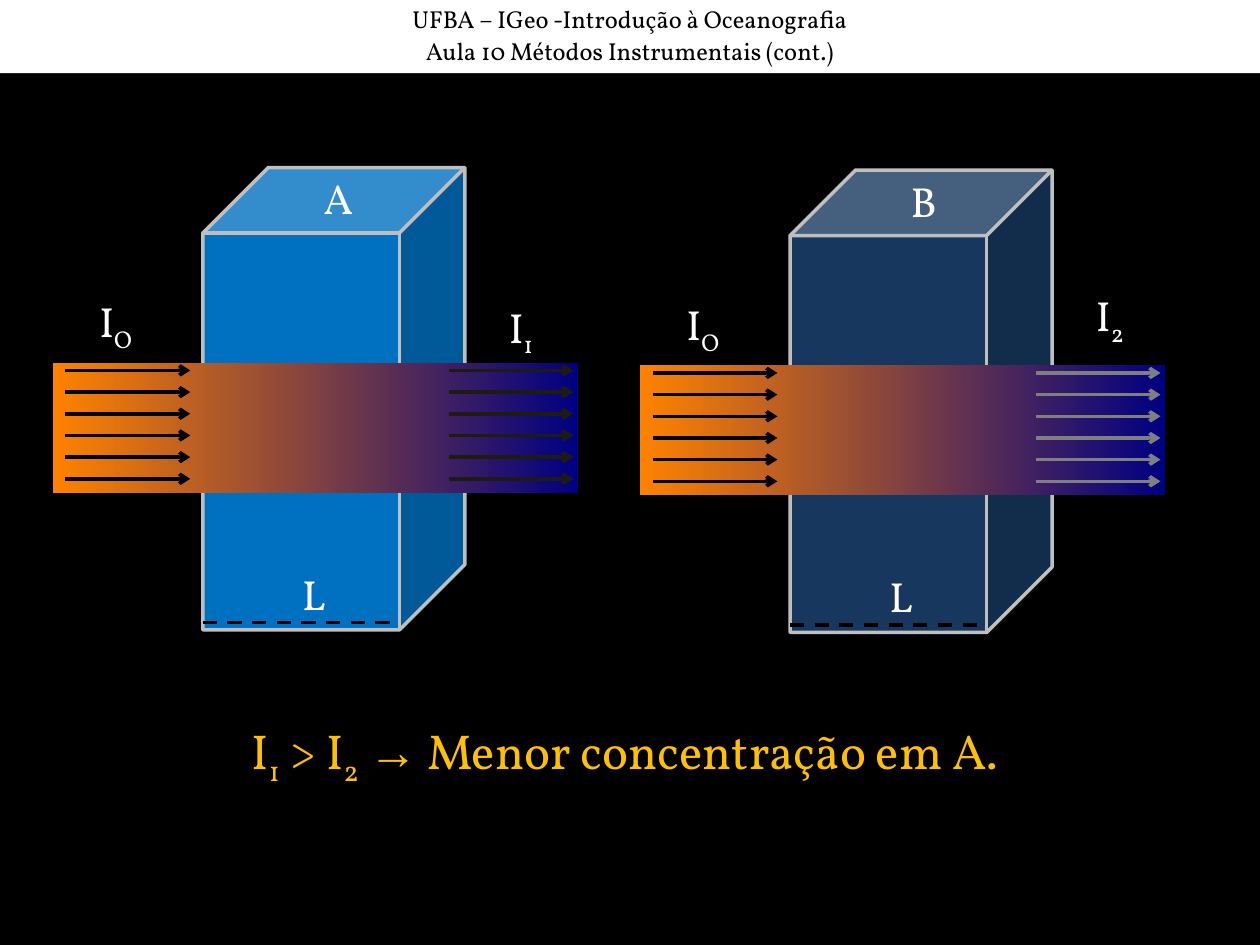
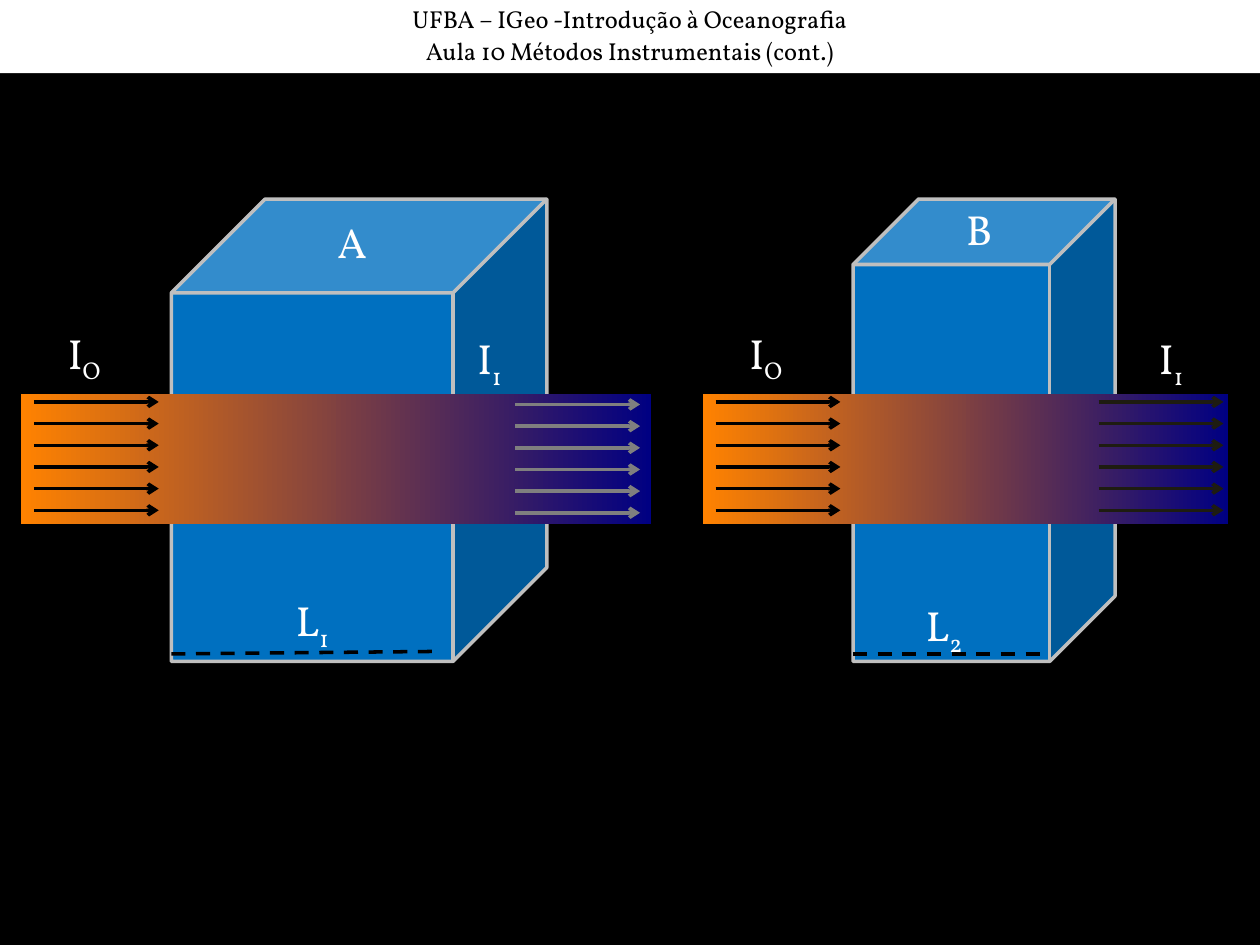
from dataclasses import dataclass

from lxml.etree import SubElement
from pptx import Presentation
from pptx.dml.color import RGBColor
from pptx.enum.dml import MSO_LINE
from pptx.enum.shapes import MSO_CONNECTOR, MSO_SHAPE
from pptx.enum.text import MSO_ANCHOR, MSO_AUTO_SIZE, PP_ALIGN
from pptx.oxml.ns import qn
from pptx.util import Inches, Pt

COLORS = {
    "background": "000000",
    "band": "FFFFFF",
    "header": "000000",
    "label": "FFFFFF",
    "conclusion": "FFC000",
    "clear": "0070C0",
    "dense": "17375E",
    "edge": "BFBFBF",
    "beam_start": "FF8200",
    "beam_end": "000082",
    "line": "000000",
    "strong": "1E1C11",
    "weak": "7F7F7F",
}
FONT = "Vollkorn"
HEADER_LINES = (
    "UFBA – IGeo -Introdução à Oceanografia",
    "Aula 10 Métodos Instrumentais (cont.)",
)
ARROW_COUNT, ARROW_LENGTH, ARROW_GAP = 6, 0.99, 0.172
CELL_HEIGHT = 3.67


@dataclass
class Cell:
    """A sample cell crossed by a light beam; offsets count from the beam's top left."""
    name: str
    left: float
    top: float
    color: str = "clear"
    width: float = 2.08
    beam_width: float = 4.17
    out_color: str = "strong"
    out_left: float = 3.14
    out_top: float = 0.06
    out_subscript: str = "1"
    out_label_top: float = -0.54
    length_subscript: str = ""
    length_left: float = 1.88
    length_top: float = 1.58
    dash_length: float = 1.53
    dash_rise: float = 0
    name_left: float = 2.05
    name_top: float = -1.56


def rgb(name):
    return RGBColor.from_string(COLORS[name])


def write(paragraph, text, size=24, color="label", font=FONT, subscript=False):
    run = paragraph.add_run()
    run.text = text
    run.font.size = Pt(size)
    run.font.name = font
    run.font.color.rgb = rgb(color)
    if subscript:
        run.font._element.set("baseline", "-25000")


def add_text_box(shapes, left, top, width, height):
    """Add an empty text box and return its first paragraph."""
    frame = shapes.add_textbox(*map(Inches, (left, top, width, height))).text_frame
    frame.word_wrap = True
    frame.auto_size = MSO_AUTO_SIZE.SHAPE_TO_FIT_TEXT
    return frame.paragraphs[0]


def add_label(shapes, left, top, symbol, subscript=""):
    paragraph = add_text_box(shapes, left, top, 0.7, 0.56 if subscript else 0.5)
    write(paragraph, symbol)
    if subscript:
        write(paragraph, subscript, subscript=True)


def add_shape(shapes, kind, left, top, width, height):
    shape = shapes.add_shape(kind, *map(Inches, (left, top, width, height)))
    shape.shadow.inherit = False
    return shape


def add_block(shapes, left, top, width, color):
    block = add_shape(shapes, MSO_SHAPE.CUBE, left, top, width, CELL_HEIGHT)
    block.fill.solid()
    block.fill.fore_color.rgb = rgb(color)
    block.line.color.rgb = rgb("edge")
    block.line.width = Pt(2)


def add_beam(shapes, left, top, width):
    beam = add_shape(shapes, MSO_SHAPE.RECTANGLE, left, top, width, 1.03)
    beam.line.fill.background()
    beam.fill.gradient()
    beam.fill.gradient_angle = 180
    for stop, color, position in zip(beam.fill.gradient_stops, ("beam_end", "beam_start"), (0, 1)):
        stop.color.rgb = rgb(color)
        stop.position = position


def add_line(shapes, start, end, color="line", dashed=False, arrow=False):
    connector = shapes.add_connector(MSO_CONNECTOR.STRAIGHT, *map(Inches, (*start, *end)))
    connector.line.color.rgb = rgb(color)
    connector.line.width = Pt(2)
    if dashed:
        connector.line.dash_style = MSO_LINE.DASH
    properties = connector._element.spPr
    if arrow:
        SubElement(properties.find(qn("a:ln")), qn("a:tailEnd"), type="arrow")
    SubElement(properties, qn("a:effectLst"))


def add_rays(shapes, left, top, color):
    for index in range(ARROW_COUNT):
        y = top + index * ARROW_GAP
        add_line(shapes, (left, y), (left + ARROW_LENGTH, y), color, arrow=True)


def add_cell(slide, cell):
    left, top = cell.left, cell.top
    block_left, length_y = left + 1.19, top + 2.06
    shapes = slide.shapes.add_group_shape().shapes
    add_block(shapes, block_left, top - 1.55, cell.width, cell.color)
    add_beam(shapes, left, top, cell.beam_width)
    add_rays(shapes, left + 0.1, top + 0.06, "line")
    add_rays(shapes, left + cell.out_left, top + cell.out_top, cell.out_color)
    add_label(shapes, left + 0.27, top - 0.58, "I", "O")
    add_label(shapes, left + 3.52, top + cell.out_label_top, "I", cell.out_subscript)
    add_line(shapes, (block_left, length_y),
             (block_left + cell.dash_length, length_y - cell.dash_rise), dashed=True)
    add_label(shapes, left + cell.length_left, top + cell.length_top, "L", cell.length_subscript)
    add_label(slide.shapes, left + cell.name_left, top + cell.name_top, cell.name)


def add_header(slide):
    title = slide.shapes.title
    title.left, title.top, title.width, title.height = map(Inches, (0, 0, 10, 0.58))
    title.fill.solid()
    title.fill.fore_color.rgb = rgb("band")
    frame = title.text_frame
    frame.auto_size = MSO_AUTO_SIZE.NONE
    frame.vertical_anchor = MSO_ANCHOR.MIDDLE
    for index, line in enumerate(HEADER_LINES):
        paragraph = frame.add_paragraph() if index else frame.paragraphs[0]
        paragraph.alignment = PP_ALIGN.CENTER
        paragraph.line_spacing = 0.9
        paragraph.space_before = Pt(3.5 if index else 0)
        write(paragraph, line, size=14, color="header")


def add_conclusion(slide):
    paragraph = add_text_box(slide.shapes, 0.42, 5.67, 9.08, 0.63)
    paragraph.alignment = PP_ALIGN.CENTER
    style = {"size": 28, "color": "conclusion"}
    write(paragraph, "I", **style)
    write(paragraph, "1", subscript=True, **style)
    write(paragraph, " > I", **style)
    write(paragraph, "2", subscript=True, **style)
    write(paragraph, " ", **style)
    write(paragraph, "→", font="Arial", **style)
    write(paragraph, " Menor concentração em A.", **style)


def add_comparison(presentation, *cells):
    slide = presentation.slides.add_slide(presentation.slide_layouts[5])
    add_header(slide)
    for cell in cells:
        add_cell(slide, cell)
    return slide


def main():
    presentation = Presentation()
    presentation.slide_width, presentation.slide_height = Inches(10), Inches(7.5)
    background = presentation.slide_master.background.fill
    background.solid()
    background.fore_color.rgb = rgb("background")

    concentration = add_comparison(
        presentation,
        Cell("A", 0.42, 2.88),
        Cell("B", 5.08, 2.9, color="dense", out_color="weak",
             out_subscript="2", out_label_top=-0.65),
    )
    add_conclusion(concentration)

    add_comparison(
        presentation,
        Cell("A", 0.17, 3.13, width=2.98, beam_width=5, out_color="weak",
             out_left=3.92, out_top=0.08, length_subscript="1", length_left=2.08,
             length_top=1.54, dash_length=2.14, dash_rise=0.02,
             name_left=2.41, name_top=-1.46),
        Cell("B", 5.58, 3.13, length_subscript="2", length_left=1.67, name_left=1.99),
    )
    presentation.save("out.pptx")


if __name__ == "__main__":
    main()
